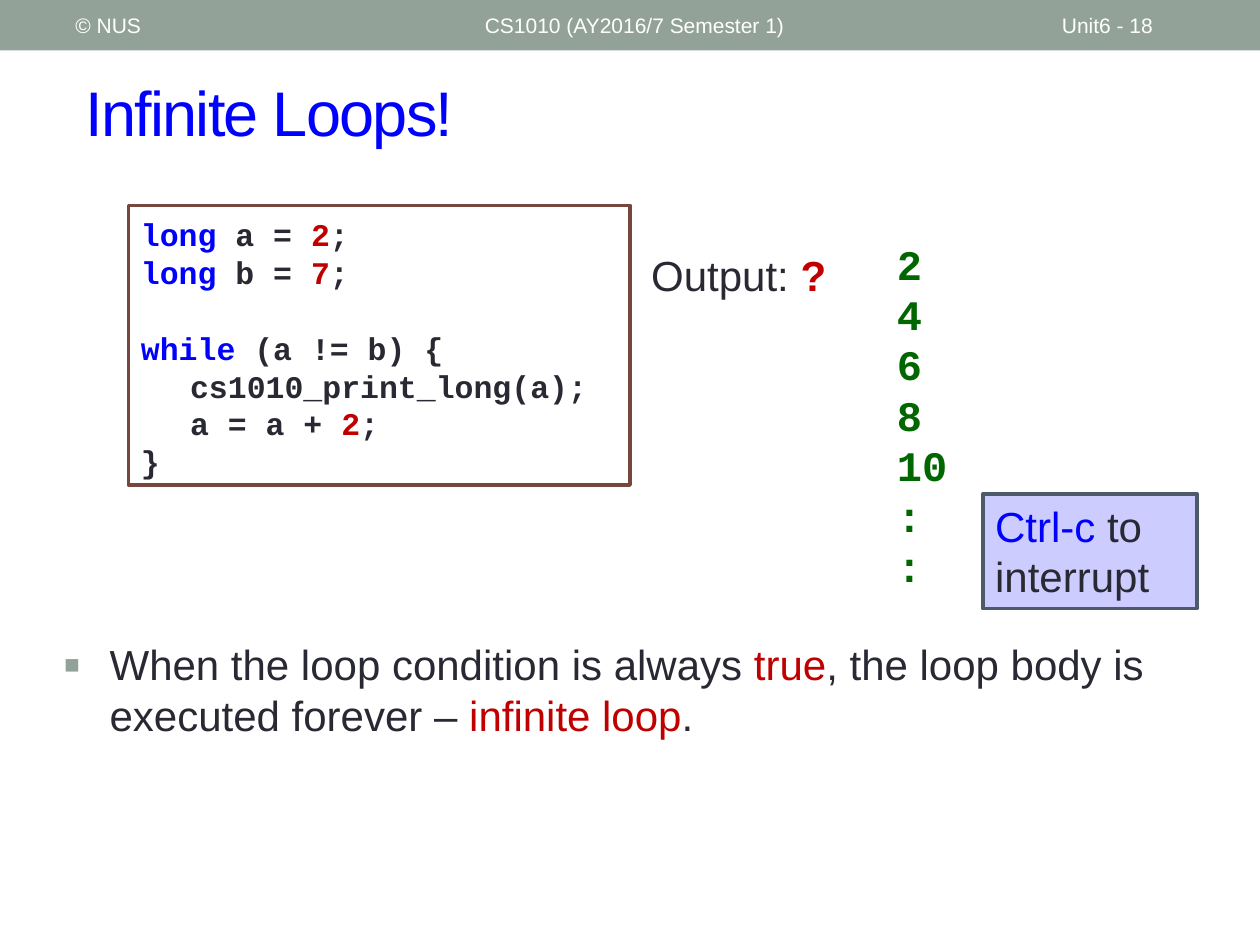
import pptx
import pptx.util
import pptx.dml.color
import pptx.enum.shapes
import pptx.enum.text
from dataclasses import dataclass
from lxml import etree

Inches = pptx.util.Inches
Pt = pptx.util.Pt


@dataclass(frozen=True)
class Theme:
    sans: str = "Arial"
    mono: str = "Courier New"
    bar: str = "93A299"
    white: str = "FFFFFF"
    ink: str = "292934"
    blue: str = "0000FF"
    red: str = "C00000"
    green: str = "006600"
    brown: str = "79463D"
    slate: str = "4C5A6A"
    lilac: str = "CCCCFF"
    head: int = 36
    body: int = 24
    code: int = 18
    small: int = 12
    lead: float = 1.2
    edge: float = 2.08


T = Theme()


def rgb(code):
    return pptx.dml.color.RGBColor.from_string(code)


def place(shape, box):
    shape.left, shape.top, shape.width, shape.height = map(Inches, box)


def style(para, size, color, face=T.sans, bold=False):
    font = para.font
    font.name, font.size, font.bold = face, Pt(size), bold
    font.color.rgb = rgb(color)
    para.alignment = pptx.enum.text.PP_ALIGN.LEFT


def write(frame, lines, size, color=T.ink, face=T.sans, bold=False):
    frame.word_wrap = True
    frame.auto_size = pptx.enum.text.MSO_AUTO_SIZE.NONE
    for i, line in enumerate(lines):
        para = frame.add_paragraph() if i else frame.paragraphs[0]
        style(para, size, color, face, bold)
        para.line_spacing = Pt(size * T.lead)
        for text, tint in line:
            run = para.add_run()
            run.text = text
            if tint:
                run.font.color.rgb = rgb(tint)
    return frame.paragraphs


def label(slide, box, lines, size, **look):
    shape = slide.shapes.add_textbox(*map(Inches, box))
    write(shape.text_frame, lines, size, **look)
    return shape


def panel(slide, box, fill, line=None):
    kind = pptx.enum.shapes.MSO_SHAPE.RECTANGLE
    shape = slide.shapes.add_shape(kind, *map(Inches, box))
    shape.shadow.inherit = False
    shape.fill.solid()
    shape.fill.fore_color.rgb = rgb(fill)
    if line:
        shape.line.color.rgb = rgb(line)
        shape.line.width = Pt(T.edge)
    else:
        shape.line.fill.background()
    shape.text_frame.vertical_anchor = pptx.enum.text.MSO_ANCHOR.TOP
    return shape


def bullet(para, mark, color, scale, indent):
    props = para._p.get_or_add_pPr()
    props.set("marL", str(Inches(indent)))
    props.set("indent", str(-Inches(indent)))
    space = pptx.oxml.ns.qn
    tint = etree.Element(space("a:buClr"))
    etree.SubElement(tint, space("a:srgbClr")).set("val", color)
    size = etree.Element(space("a:buSzPct"))
    size.set("val", str(scale * 1000))
    char = etree.Element(space("a:buChar"))
    char.set("char", mark)
    rest = props.find(space("a:defRPr"))
    for part in (tint, size, char):
        rest.addprevious(part)


def header(slide):
    panel(slide, (0, 0, 10, 0.4), T.bar)
    for left, width, text in (
        (0.5, 3.17, "© NUS"),
        (3.75, 4.5, "CS1010 (AY2016/7 Semester 1)"),
        (8.33, 1.17, "Unit6 - 18"),
    ):
        shape = label(slide, (left, 0.02, width, 0.36), [[(text, None)]],
                      T.small, color=T.white)
        shape.text_frame.vertical_anchor = pptx.enum.text.MSO_ANCHOR.MIDDLE


def title(slide, text):
    shape = slide.shapes.title
    place(shape, (0.58, 0.42, 9.17, 0.92))
    shape.text_frame.vertical_anchor = pptx.enum.text.MSO_ANCHOR.MIDDLE
    para = write(shape.text_frame, [[(text, None)]], T.head, T.blue)[0]
    para.runs[0]._r.get_or_add_rPr().set("spc", "-100")


def body(slide):
    shape = slide.placeholders[1]
    place(shape, (0.4, 5.02, 8.92, 1.2))
    line = [("When the loop condition is always ", None), ("true", T.red),
            (", the loop body is executed forever – ", None),
            ("infinite loop", T.red), (".", None)]
    para = write(shape.text_frame, [line], T.body)[0]
    para.space_before = Pt(6)
    bullet(para, "▪", T.bar, 120, 0.37)


def code(slide):
    lines = [
        [("long", T.blue), (" a = ", None), ("2", T.red), (";", None)],
        [("long", T.blue), (" b = ", None), ("7", T.red), (";", None)],
        [("while", T.blue), (" (a != b) {", None)],
        [("cs1010_print_long(a);", None)],
        [("a = a + ", None), ("2", T.red), (";", None)],
        [("}", None)],
    ]
    shape = panel(slide, (1.02, 1.63, 3.98, 2.22), T.white, T.brown)
    shape.text_frame.margin_top = Inches(0.08)
    paras = write(shape.text_frame, lines, T.code, face=T.mono, bold=True)
    paras[2].space_before = Pt(T.code * T.lead)
    for para in paras[3:5]:
        para._p.get_or_add_pPr().set("marL", str(Inches(0.39)))


def output(slide):
    shape = label(slide, (5.07, 1.93, 4.78, 0.87),
                  [[("Output: ", None), ("?", T.red)]], T.body)
    shape.text_frame.paragraphs[0].runs[1].font.bold = True
    lines = [[(text, None)] for text in ("2", "4", "6", "8", "10", ":", ":")]
    shape = label(slide, (7.02, 1.8, 1.07, 2.93), lines, T.body,
                  color=T.green, face=T.mono, bold=True)
    shape.text_frame.margin_top = Inches(0.09)


def hint(slide):
    shape = panel(slide, (7.8, 3.92, 1.7, 0.91), T.lilac, T.slate)
    write(shape.text_frame, [[("Ctrl-c", T.blue), (" to interrupt", None)]],
          T.body)


def main():
    deck = pptx.Presentation()
    deck.slide_width, deck.slide_height = Inches(10), Inches(7.5)
    slide = deck.slides.add_slide(deck.slide_layouts[1])
    header(slide)
    title(slide, "Infinite Loops!")
    body(slide)
    code(slide)
    output(slide)
    hint(slide)
    deck.save("out.pptx")


if __name__ == "__main__":
    main()
